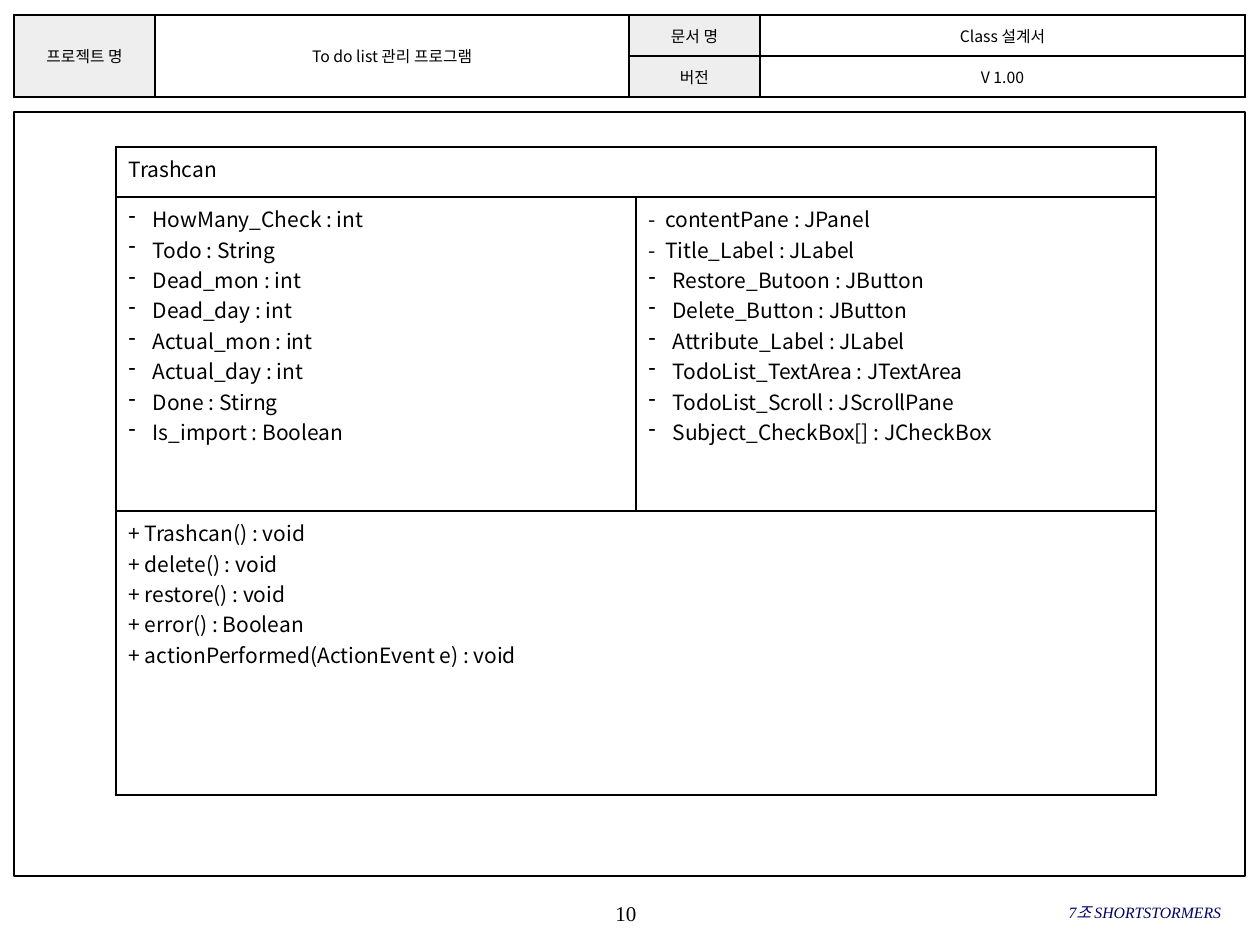
import pptx
import pptx.util
import pptx.dml.color
import pptx.enum.shapes
import pptx.enum.text
import pptx.oxml.ns
import lxml.etree

PX = 914400 // 126
SANS, SERIF = "Noto Sans CJK KR", "Times New Roman"
ALIGN, ANCHOR = pptx.enum.text.PP_ALIGN, pptx.enum.text.MSO_ANCHOR
BULLET_INDENT = 24

HEADER_CELLS = [
    (0, 0, "프로젝트 명", "EEEEEE"),
    (0, 1, "To do list 관리 프로그램", None),
    (0, 2, "문서 명", "EEEEEE"),
    (0, 3, "Class 설계서", None),
    (1, 2, "버전", "EEEEEE"),
    (1, 3, "V 1.00", None),
]
FIELDS = ["HowMany_Check : int", "Todo : String", "Dead_mon : int", "Dead_day : int",
          "Actual_mon : int", "Actual_day : int", "Done : Stirng", "Is_import : Boolean"]
PLAIN_WIDGETS = ["-  contentPane : JPanel", "-  Title_Label : JLabel"]
WIDGETS = ["Restore_Butoon : JButton", "Delete_Button : JButton",
           "Attribute_Label : JLabel", "TodoList_TextArea : JTextArea",
           "TodoList_Scroll : JScrollPane", "Subject_CheckBox[] : JCheckBox"]
METHODS = ["+ Trashcan() : void", "+ delete() : void", "+ restore() : void",
           "+ error() : Boolean", "+ actionPerformed(ActionEvent e) : void"]


def px(*values):
    """Turn pixels into EMU lengths."""
    return [pptx.util.Emu(v * PX) for v in values]


def rgb(value):
    """Turn a hex string into a colour."""
    return pptx.dml.color.RGBColor.from_string(value)


def sub(parent, tag, **attrs):
    """Append a DrawingML element."""
    return lxml.etree.SubElement(parent, pptx.oxml.ns.qn(tag), attrs)


def set_attrs(obj, values):
    """Set attributes of an object from a dict."""
    for name, value in values.items():
        setattr(obj, name, value)


def write(tf, lines, size, font=SANS, color="000000", align=ALIGN.LEFT, italic=None):
    """Write (text, bulleted) lines into a text frame."""
    for i, (text, bulleted) in enumerate(lines):
        p = tf.paragraphs[0] if i == 0 else tf.add_paragraph()
        p.alignment = align
        if bulleted:
            pPr = p._p.get_or_add_pPr()
            pPr.set("marL", str(BULLET_INDENT * PX))
            pPr.set("indent", str(-BULLET_INDENT * PX))
            sub(pPr, "a:buFontTx")
            sub(pPr, "a:buChar", char="-")
        r = p.add_run()
        r.text = text
        set_attrs(r.font, {"size": pptx.util.Pt(size), "name": font, "italic": italic})
        r.font.color.rgb = rgb(color)
        sub(r._r.get_or_add_rPr(), "a:ea", typeface=SANS)


def add_label(s, box, text, **style):
    """Add a one-line text box without margins."""
    tf = s.shapes.add_textbox(*px(*box)).text_frame
    set_attrs(tf, {"word_wrap": True, "vertical_anchor": ANCHOR.MIDDLE, "margin_left": 0,
                   "margin_right": 0, "margin_top": 0, "margin_bottom": 0})
    write(tf, [(text, False)], **style)


def add_frame(s, box):
    """Add the outlined page frame."""
    sp = s.shapes.add_shape(pptx.enum.shapes.MSO_SHAPE.RECTANGLE, *px(*box))
    sp.shadow.inherit = False
    sp.fill.background()
    sp.line.color.rgb = rgb("000000")
    sp.line.width = pptx.util.Pt(0.75)


def add_grid(s, left, top, widths, heights):
    """Add an unfilled table with thin black borders."""
    box = px(left, top, sum(widths), sum(heights))
    table = s.shapes.add_table(len(heights), len(widths), *box).table
    set_attrs(table, {"first_row": False, "horz_banding": False})
    for column, width in zip(table.columns, px(*widths)):
        column.width = width
    for row, height in zip(table.rows, px(*heights)):
        row.height = height
    for cell in table.iter_cells():
        tcPr = cell._tc.get_or_add_tcPr()
        for side in "LRTB":
            ln = sub(tcPr, "a:ln" + side, w=str(pptx.util.Pt(1)))
            sub(sub(ln, "a:solidFill"), "a:srgbClr", val="000000")
        cell.fill.background()
    return table


def add_header(s):
    """Add the document header table."""
    table = add_grid(s, 14, 15, [141, 474, 131, 485], [41, 41])
    for col in (0, 1):
        table.cell(0, col).merge(table.cell(1, col))
    side, edge = px(5, 3)
    for row, col, text, fill in HEADER_CELLS:
        cell = table.cell(row, col)
        set_attrs(cell, {"vertical_anchor": ANCHOR.MIDDLE, "margin_left": side,
                         "margin_right": side, "margin_top": edge, "margin_bottom": edge})
        if fill:
            cell.fill.solid()
            cell.fill.fore_color.rgb = rgb(fill)
        write(cell.text_frame, [(text, False)], 9, align=ALIGN.CENTER)


def add_class_table(s):
    """Add the class table: name, attributes and methods."""
    table = add_grid(s, 116, 147, [520, 520], [50, 314, 284])
    for row in (0, 2):
        table.cell(row, 0).merge(table.cell(row, 1))
    plain = [(text, False) for text in PLAIN_WIDGETS]
    contents = {
        (0, 0): [("Trashcan", False)],
        (1, 0): [(text, True) for text in FIELDS],
        (1, 1): plain + [(text, True) for text in WIDGETS],
        (2, 0): [(text, False) for text in METHODS],
    }
    for (row, col), lines in contents.items():
        write(table.cell(row, col).text_frame, lines, 12)


def main():
    """Build and save the slide."""
    prs = pptx.Presentation()
    prs.slide_width, prs.slide_height = px(1260, 945)
    s = prs.slides.add_slide(prs.slide_layouts[6])
    add_label(s, (495, 892, 262, 42), "10", size=12, font=SERIF, align=ALIGN.CENTER)
    add_header(s)
    add_frame(s, (14, 112, 1231, 764))
    add_label(s, (835, 891, 386, 42), "7조 SHORTSTORMERS", size=9, font=SERIF,
              color="000066", align=ALIGN.RIGHT, italic=True)
    add_class_table(s)
    prs.save("out.pptx")


main()
